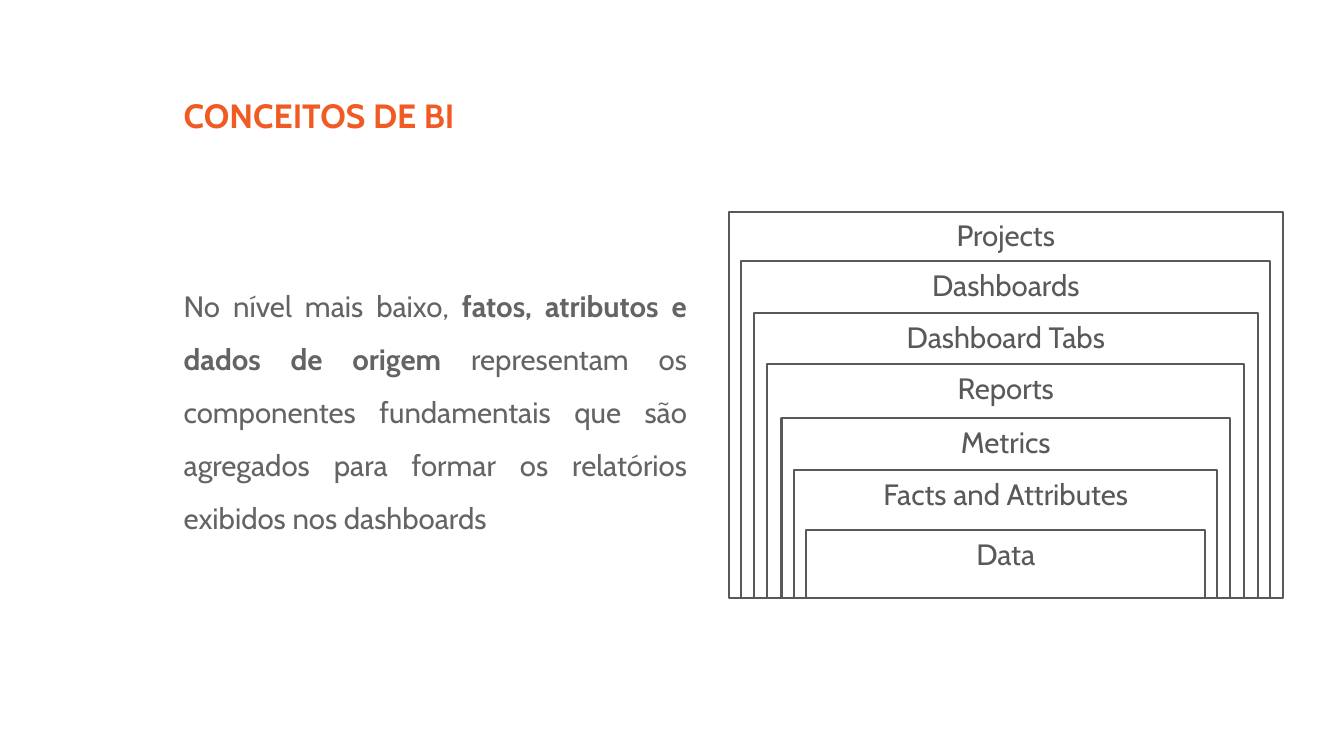
from dataclasses import dataclass

from pptx import Presentation
from pptx import util as u
from pptx.dml.color import RGBColor
from pptx.enum import shapes, text


@dataclass(frozen=True)
class Theme:
    font: str = "Cabin"
    accent: RGBColor = RGBColor(0xF1, 0x5A, 0x22)
    body: RGBColor = RGBColor(0x63, 0x64, 0x63)
    ink: RGBColor = RGBColor(0x58, 0x59, 0x5B)
    paper: RGBColor = RGBColor(0xFF, 0xFF, 0xFF)
    head: int = 32
    size: int = 28
    line: int = 2


class Deck:
    def __init__(self, slide, theme):
        self.slide = slide
        self.theme = theme

    def style(self, font, size, color):
        font.name = self.theme.font
        font.size = u.Pt(size)
        font.color.rgb = color

    def label(self, x, y, w, h, runs, size, color):
        """Text box whose runs are (words, bold) pairs."""
        box = self.slide.shapes.add_textbox(u.Cm(x), u.Cm(y), u.Cm(w), u.Cm(h))
        frame = box.text_frame
        frame.word_wrap = True
        para = frame.paragraphs[0]
        self.style(para.font, size, color)
        for words, bold in runs:
            run = para.add_run()
            run.text = words
            run.font.bold = bold
        return para

    def layer(self, x, y, w, h, name):
        """Outlined box with its name centred at the top."""
        box = self.slide.shapes.add_shape(
            shapes.MSO_SHAPE.RECTANGLE, u.Cm(x), u.Cm(y), u.Cm(w), u.Cm(h))
        box.shadow.inherit = False
        box.fill.solid()
        box.fill.fore_color.rgb = self.theme.paper
        box.line.color.rgb = self.theme.ink
        box.line.width = u.Pt(self.theme.line)
        frame = box.text_frame
        frame.word_wrap = True
        frame.vertical_anchor = text.MSO_ANCHOR.TOP
        frame.margin_top = frame.margin_bottom = u.Cm(0.2)
        para = frame.paragraphs[0]
        para.text = name
        para.alignment = text.PP_ALIGN.CENTER
        self.style(para.font, self.theme.size, self.theme.ink)


def main():
    prs = Presentation()
    prs.slide_width, prs.slide_height = u.Cm(45.14), u.Cm(25.4)
    theme = Theme()
    deck = Deck(prs.slides.add_slide(prs.slide_layouts[6]), theme)

    # Title
    left = 5.92
    deck.label(left, 3.05, 35.3, 3.58, [("CONCEITOS DE BI", True)],
               theme.head, theme.accent)

    # Nested layers: shared centre and base, from outermost to innermost
    mid, base = 33.78, 20.09
    layers = [
        ("Projects", 7.11, 18.6),
        ("Dashboards", 8.76, 17.78),
        ("Dashboard Tabs", 10.51, 16.92),
        ("Reports", 12.24, 16.03),
        ("Metrics", 14.05, 15.06),
        ("Facts and Attributes", 15.8, 14.2),
        ("Data", 17.82, 13.41),
    ]
    for name, top, wide in layers:
        deck.layer(mid - wide / 2, top, wide, base - top, name)

    # Explanation
    para = deck.label(left, 8.97, 17.4, 9.25, [
        ("No nível mais baixo,", False),
        (" fatos, atributos e dados de origem ", True),
        ("representam os componentes fundamentais que são agregados "
         "para formar os relatórios exibidos nos dashboards", False),
    ], theme.size, theme.body)
    para.alignment = text.PP_ALIGN.JUSTIFY
    para.line_spacing = 1.5

    prs.save("out.pptx")


if __name__ == "__main__":
    main()
